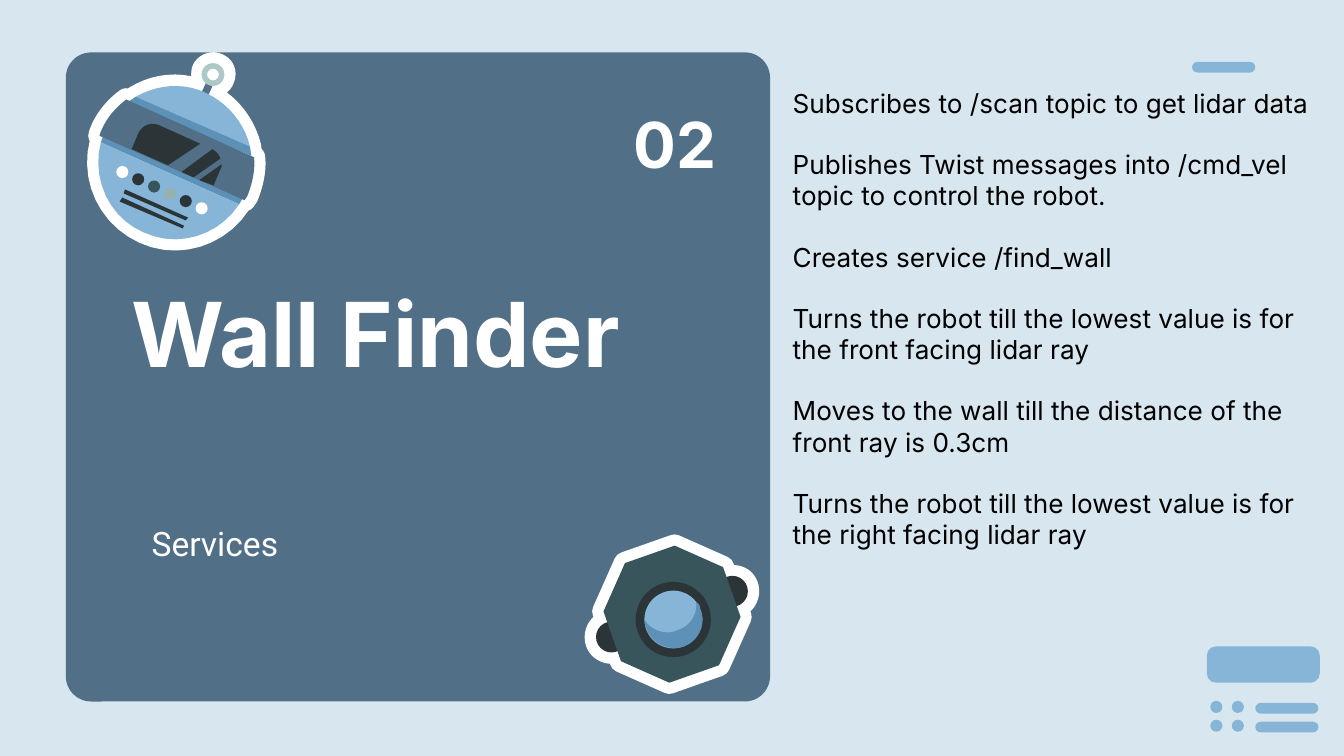
from pptx import Presentation
from pptx.dml.color import RGBColor
from pptx.enum.shapes import MSO_SHAPE
from pptx.enum.text import MSO_ANCHOR, MSO_AUTO_SIZE, PP_ALIGN
from pptx.util import Inches, Pt

WHITE, BLACK, PALE, SLATE = "FFFFFF", "000000", "D8E6EF", "516F86"
SKY, BLUE, INK, TEAL, SAGE, MINT = "86B5D8", "5D91B7", "2B3436", "37555A", "96B1B0", "ACC9C8"

TITLE, NUMBER, SUBTITLE = "Wall Finder", "02", "Services"
STEPS = [
    "Subscribes to /scan topic to get lidar data",
    "Publishes Twist messages into /cmd_vel topic to control the robot.",
    "Creates service /find_wall",
    "Turns the robot till the lowest value is for the front facing lidar ray",
    "Moves to the wall till the distance of the front ray is 0.3cm",
    "Turns the robot till the lowest value is for the right facing lidar ray",
]

PANEL = (0.49, 0.39, 5.24, 4.83)
BARS = [(8.87, 0.46, 0.47, 0.08), (9.34, 5.23, 0.47, 0.08), (9.34, 5.37, 0.47, 0.08)]
BUTTON = (8.98, 4.81, 0.84, 0.27)
KEYS = [(x, y) for x in (9.05, 9.21) for y in (5.26, 5.4)]

ROBOT_EDGE = [
    (1.62, 0.48), (1.58, 0.46, 1.53, 0.48, 1.51, 0.52), (1.5, 0.56, 1.51, 0.59, 1.53, 0.62),
    (1.5, 0.68), (1.34, 0.61, 1.16, 0.63, 1.01, 0.72), (0.96, 0.75), (0.94, 0.74),
    (0.86, 0.8, 0.79, 0.88, 0.75, 0.98), (0.74, 1.01), (0.76, 1.02), (0.75, 1.06),
    (0.68, 1.33, 0.81, 1.61, 1.07, 1.73), (1.33, 1.85, 1.63, 1.75, 1.78, 1.52),
    (1.8, 1.48), (1.82, 1.49), (1.84, 1.46), (1.88, 1.36, 1.9, 1.26, 1.89, 1.17),
    (1.87, 1.16), (1.86, 1.09), (1.82, 0.93, 1.71, 0.78, 1.55, 0.7), (1.58, 0.64),
    (1.62, 0.64, 1.65, 0.62, 1.66, 0.59), (1.68, 0.55, 1.67, 0.5, 1.62, 0.48),
]
ROBOT_PARTS = [
    (SLATE, [(1.54, 0.6), (1.44, 0.82), (1.49, 0.84), (1.59, 0.62)]),
    (BLUE, [(0.77, 1.01), (0.75, 1.06), (1.78, 1.52), (1.81, 1.47)]),
    (SKY, [(0.75, 1.06), (0.68, 1.33, 0.81, 1.62, 1.07, 1.73), (1.33, 1.85, 1.63, 1.75, 1.78, 1.52)]),
    (SKY, [(1.53, 0.69), (1.36, 0.61, 1.17, 0.63, 1.01, 0.72), (1.86, 1.09),
           (1.82, 0.92, 1.7, 0.77, 1.53, 0.69)]),
    (BLUE, [(1.01, 0.72), (0.95, 0.76), (1.87, 1.16), (1.86, 1.09)]),
    (SLATE, [(0.94, 0.74), (0.86, 0.8, 0.79, 0.88, 0.75, 0.98), (0.74, 1.01), (1.82, 1.49),
             (1.84, 1.46), (1.88, 1.36, 1.9, 1.26, 1.89, 1.17)]),
    (INK, [(1.65, 1.22), (1.48, 1.34), (1.59, 1.38), (1.64, 1.26), (1.65, 1.25, 1.65, 1.23, 1.65, 1.22)]),
    (SLATE, [(1.49, 1.07), (1.25, 1.23), (1.35, 1.28), (1.58, 1.11)]),
    (INK, [(1.18, 0.93), (1.12, 0.91, 1.06, 0.93, 1.03, 0.99), (0.98, 1.11), (1.25, 1.23), (1.49, 1.07)]),
    (SLATE, [(1.64, 1.18), (1.44, 1.32), (1.48, 1.34), (1.65, 1.22)]),
    (INK, [(1.58, 1.11), (1.35, 1.28), (1.44, 1.32), (1.64, 1.18), (1.63, 1.15, 1.61, 1.13, 1.58, 1.11)]),
    (INK, [(0.93, 1.41), (0.92, 1.44), (1.38, 1.64), (1.4, 1.62)]),
    (INK, [(0.91, 1.47), (0.89, 1.5), (1.36, 1.7), (1.37, 1.68)]),
]
ANTENNA = (1.5, 0.47, 0.17, 0.17)
LAMPS = [WHITE, INK, TEAL, SAGE, INK, WHITE]
FIRST_LAMP, LAST_LAMP = (0.91, 1.28), (1.5, 1.55)

CAMERA_EDGE = [
    (4.65, 4.19), (4.49, 4.55), (4.52, 4.63), (4.51, 4.63),
    (4.45, 4.65, 4.42, 4.72, 4.44, 4.78), (4.46, 4.84, 4.53, 4.87, 4.59, 4.85),
    (4.6, 4.84), (4.62, 4.92), (4.98, 5.08), (5.35, 4.95), (5.51, 4.59), (5.48, 4.51),
    (5.49, 4.51), (5.55, 4.49, 5.58, 4.42, 5.56, 4.36), (5.54, 4.3, 5.47, 4.27, 5.41, 4.3),
    (5.4, 4.3), (5.38, 4.22), (5.02, 4.06),
]
CAMERA_BODY = [(4.65, 4.19), (4.49, 4.55), (4.62, 4.92), (4.98, 5.08),
               (5.35, 4.95), (5.51, 4.59), (5.38, 4.22), (5.02, 4.06)]
EARS = [(4.55, 4.74), (5.45, 4.4)]
LENS = (5.01, 4.61)
LENS_SHADE = [
    (4.8, 4.62), (4.8, 4.64, 4.8, 4.66, 4.81, 4.68), (4.85, 4.79, 4.98, 4.85, 5.09, 4.81),
    (5.2, 4.77, 5.26, 4.64, 5.21, 4.53), (5.21, 4.51, 5.2, 4.49, 5.18, 4.48),
    (5.19, 4.57, 5.14, 4.66, 5.04, 4.69), (4.95, 4.73, 4.85, 4.69, 4.8, 4.62),
]


def color(code):
    """Turn a hex string into a colour."""
    return RGBColor.from_string(code)


def paint(shape, fill, line_width=0):
    """Give a shape a flat fill and an optional line of the same colour."""
    shape.shadow.inherit = False
    shape.fill.solid()
    shape.fill.fore_color.rgb = color(fill)
    if line_width:
        shape.line.color.rgb = color(fill)
        shape.line.width = Pt(line_width)
    else:
        shape.line.fill.background()
    return shape


def preset(page, kind, box, fill, adjustment=None):
    """Add a painted preset shape."""
    shape = paint(page.shapes.add_shape(kind, *map(Inches, box)), fill)
    if adjustment is not None:
        shape.adjustments[0] = adjustment
    return shape


def disc(page, center, size, fill):
    """Add a circle around a centre."""
    x, y = center
    return preset(page, MSO_SHAPE.OVAL, (x - size / 2, y - size / 2, size, size), fill)


def outline(page, steps, fill, line_width=0, pieces=10):
    """Add a closed outline whose six-number steps are Bezier curves."""
    points = [steps[0]]
    for step in steps[1:]:
        if len(step) == 2:
            points.append(step)
            continue
        controls = [points[-1], step[:2], step[2:4], step[4:]]
        for t in (i / pieces for i in range(1, pieces + 1)):
            weights = ((1 - t) ** 3, 3 * t * (1 - t) ** 2, 3 * t * t * (1 - t), t ** 3)
            points.append(tuple(sum(w * c[axis] for w, c in zip(weights, controls)) for axis in (0, 1)))
    points = [(Inches(x), Inches(y)) for x, y in points]
    builder = page.shapes.build_freeform(*points[0])
    builder.add_line_segments(points[1:], close=True)
    return paint(builder.convert_to_shape(), fill, line_width)


def write(shape, box, lines, font, size, code, bold=False, align=PP_ALIGN.LEFT,
          anchor=MSO_ANCHOR.TOP, inset=0.1, after=0):
    """Place a text shape and fill it with one paragraph per line."""
    shape.left, shape.top, shape.width, shape.height = map(Inches, box)
    frame = shape.text_frame
    frame.word_wrap = True
    frame.auto_size = MSO_AUTO_SIZE.NONE
    frame.vertical_anchor = anchor
    frame.margin_left = frame.margin_right = Inches(0.1)
    frame.margin_top = frame.margin_bottom = Inches(inset)
    for index, line in enumerate(lines):
        para = frame.add_paragraph() if index else frame.paragraphs[0]
        para.alignment = align
        para.space_after = Pt(after)
        span = para.add_run()
        span.text = line
        span.font.name, span.font.size, span.font.bold = font, Pt(size), bold
        span.font.color.rgb = color(code)
    return frame


def text_box(page, box, *args, **options):
    """Add a text box and write into it."""
    return write(page.shapes.add_textbox(*map(Inches, box)), box, *args, **options)


def draw_robot(page):
    """Draw the round robot sticker."""
    outline(page, ROBOT_EDGE, WHITE, 12)
    for fill, steps in ROBOT_PARTS:
        outline(page, steps, fill)
    preset(page, MSO_SHAPE.DONUT, ANTENNA, MINT, 0.24)
    for index, fill in enumerate(LAMPS):
        share = index / (len(LAMPS) - 1)
        center = [a + (b - a) * share for a, b in zip(FIRST_LAMP, LAST_LAMP)]
        disc(page, center, 0.09, fill)


def draw_camera(page):
    """Draw the octagonal camera sticker."""
    outline(page, CAMERA_EDGE, WHITE, 12)
    for center in EARS:
        disc(page, center, 0.23, INK)
    outline(page, CAMERA_BODY, TEAL)
    disc(page, LENS, 0.56, INK)
    disc(page, LENS, 0.43, SKY)
    outline(page, LENS_SHADE, BLUE)


def main():
    """Build the slide and save the deck."""
    deck = Presentation()
    deck.slide_width, deck.slide_height = Inches(10), Inches(10) * 9 // 16
    page = deck.slides.add_slide(deck.slide_layouts[5])
    page.background.fill.solid()
    page.background.fill.fore_color.rgb = color(PALE)

    panel = preset(page, MSO_SHAPE.ROUNDED_RECTANGLE, PANEL, SLATE, 0.039)
    for bar in BARS:
        preset(page, MSO_SHAPE.ROUNDED_RECTANGLE, bar, SKY, 0.5)
    preset(page, MSO_SHAPE.ROUNDED_RECTANGLE, BUTTON, SKY, 0.25)
    for center in KEYS:
        disc(page, center, 0.09, SKY)

    title = page.shapes.title
    panel.element.addnext(title.element)
    write(title, (0.88, 1.97, 4.48, 1.82), [TITLE], "Inter", 48, WHITE, bold=True)
    text_box(page, (4.06, 0.71, 1.37, 0.71), [NUMBER], "Inter", 34, WHITE, bold=True,
             align=PP_ALIGN.RIGHT, anchor=MSO_ANCHOR.MIDDLE)
    subtitle = text_box(page, (0.88, 3.79, 3.33, 0.78), [SUBTITLE], "Roboto", 18, WHITE)
    layout = subtitle.paragraphs[0]._p.get_or_add_pPr()
    layout.set("marL", str(Inches(0.5)))
    layout.set("indent", str(Inches(-0.35)))
    draw_robot(page)
    draw_camera(page)
    text_box(page, (5.8, 0.6, 4.17, 4.04), STEPS, "Inter", 14, BLACK, inset=0.05, after=16)
    deck.save("out.pptx")


if __name__ == "__main__":
    main()
